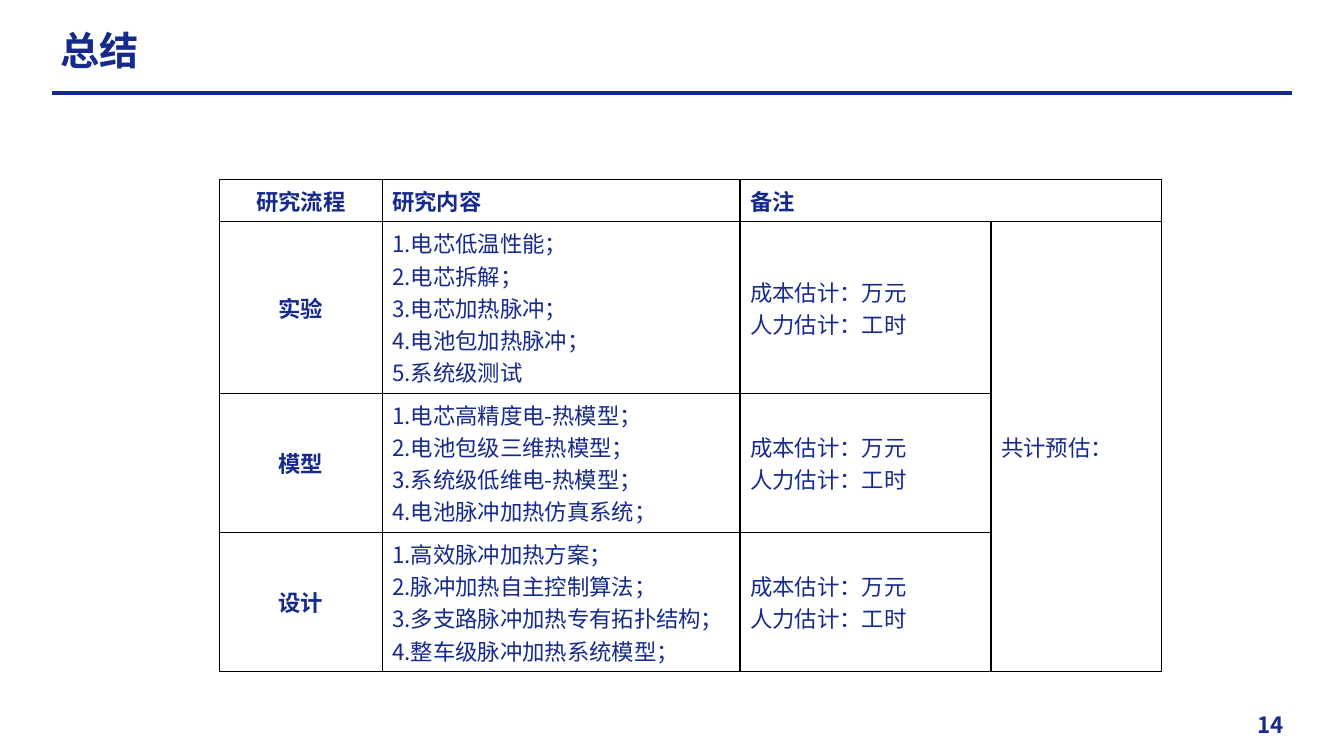
from lxml import etree
from pptx import Presentation
from pptx import util as u
from pptx.dml import color
from pptx.enum import shapes, text
from pptx.oxml import ns

FONT = "Noto Sans CJK SC"
BLUE = "152A8C"
LEFT, MID, RIGHT = text.PP_ALIGN.LEFT, text.PP_ALIGN.CENTER, text.PP_ALIGN.RIGHT
COST = ["成本估计：万元", "人力估计：工时"]
HEADS = ["研究流程", "研究内容", "备注"]
STAGES = [
    ("实验", ["电芯低温性能；", "电芯拆解；", "电芯加热脉冲；", "电池包加热脉冲；", "系统级测试"]),
    ("模型", ["电芯高精度电-热模型；", "电池包级三维热模型；", "系统级低维电-热模型；", "电池脉冲加热仿真系统；"]),
    ("设计", ["高效脉冲加热方案；", "脉冲加热自主控制算法；", "多支路脉冲加热专有拓扑结构；", "整车级脉冲加热系统模型；"]),
]


def rgb(code):
    """Turn a hex string into a colour."""
    return color.RGBColor.from_string(code)


def write(frame, lines, size=16, bold=False, align=LEFT):
    """Fill a text frame with lines in the slide's font."""
    frame.text = "\n".join(lines)
    for para in frame.paragraphs:
        para.alignment = align
        for run in para.runs:
            font = run.font
            font.name, font.size, font.bold = FONT, u.Pt(size), bold
            font.color.rgb = rgb(BLUE)
            etree.SubElement(run._r.get_or_add_rPr(), ns.qn("a:ea"), typeface=FONT)


def edge(cell):
    """Clear the fill of a cell and draw its four black borders."""
    cell.fill.background()
    props = cell._tc.get_or_add_tcPr()
    for spot, side in enumerate("LRTB"):
        line = etree.Element(ns.qn("a:ln" + side), w=str(u.Pt(1)))
        fill = etree.SubElement(line, ns.qn("a:solidFill"))
        etree.SubElement(fill, ns.qn("a:srgbClr"), val="000000")
        props.insert(spot, line)


def add_head(slide, name, left, top, width, height):
    """Place the title and the rule below it."""
    title = slide.shapes.title
    title.left, title.top = u.Inches(left), u.Inches(top)
    title.width, title.height = u.Inches(10.08), u.Inches(0.61)
    frame = title.text_frame
    frame.vertical_anchor = text.MSO_ANCHOR.MIDDLE
    frame.margin_left = frame.margin_right = u.Inches(0.08)
    frame.margin_top = frame.margin_bottom = u.Inches(0.04)
    write(frame, [name], 28, True)
    base = u.Inches(top + height)
    rule = slide.shapes.add_connector(
        shapes.MSO_CONNECTOR.STRAIGHT, u.Inches(left), base, u.Inches(left + width), base)
    rule.line.color.rgb = rgb(BLUE)
    rule.line.width = u.Pt(3)
    etree.SubElement(rule._element.spPr, ns.qn("a:effectLst"))


def add_plan(slide, left, top, width, height):
    """Place the table of stages, contents and estimates."""
    grid = slide.shapes.add_table(
        len(STAGES) + 1, 4, u.Inches(left), u.Inches(top), u.Inches(width), u.Inches(height)).table
    grid.first_row = grid.horz_banding = False
    for col, size in zip(grid.columns, (1.61, 3.55, 2.49, 1.69)):
        col.width = u.Inches(size)
    for row, size in zip(grid.rows, (0.42, 1.7, 1.38, 1.38)):
        row.height = u.Inches(size)
    for cell in grid.iter_cells():
        edge(cell)
        cell.vertical_anchor = text.MSO_ANCHOR.MIDDLE
    grid.cell(0, 2).merge(grid.cell(0, 3))
    grid.cell(1, 3).merge(grid.cell(len(STAGES), 3))
    for col, head in enumerate(HEADS):
        write(grid.cell(0, col).text_frame, [head], bold=True, align=LEFT if col else MID)
    for row, (stage, tasks) in enumerate(STAGES, 1):
        items = [f"{num}.{task}" for num, task in enumerate(tasks, 1)]
        write(grid.cell(row, 0).text_frame, [stage], bold=True, align=MID)
        write(grid.cell(row, 1).text_frame, items)
        write(grid.cell(row, 2).text_frame, COST)
    write(grid.cell(1, 3).text_frame, ["共计预估："])


def add_page(slide, num, left, top, width, height):
    """Place the page number."""
    box = slide.shapes.add_textbox(*map(u.Inches, (left, top, width, height)))
    box.text_frame.word_wrap = True
    box.text_frame.vertical_anchor = text.MSO_ANCHOR.MIDDLE
    write(box.text_frame, [num], bold=True, align=RIGHT)


def main():
    """Build the summary slide."""
    deck = Presentation()
    deck.slide_width, deck.slide_height = u.Inches(13.33), u.Inches(7.5)
    slide = deck.slides.add_slide(deck.slide_layouts[5])
    add_head(slide, "总结", 0.52, 0.19, 12.29, 0.73)
    add_plan(slide, 2.18, 1.78, 9.34, 4.88)
    add_page(slide, "14", 12.02, 7.01, 0.81, 0.36)
    deck.save("out.pptx")


if __name__ == "__main__":
    main()
